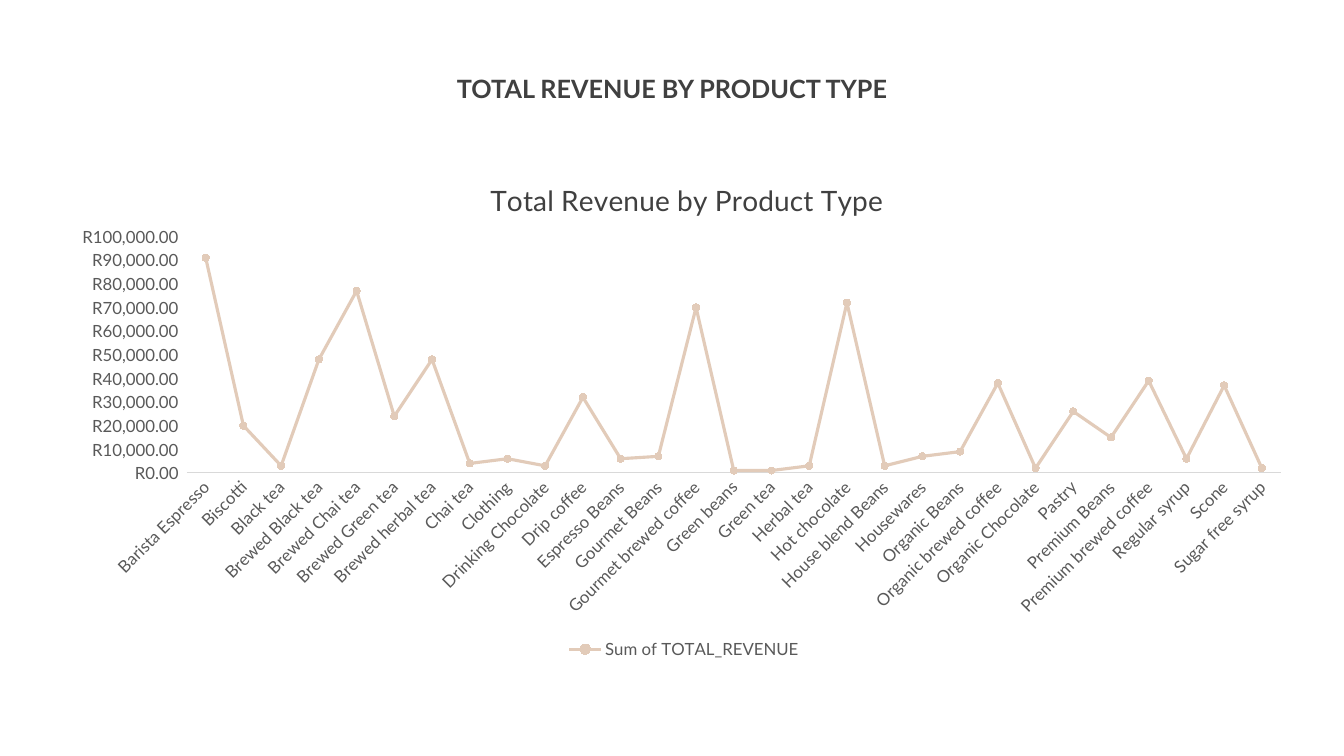
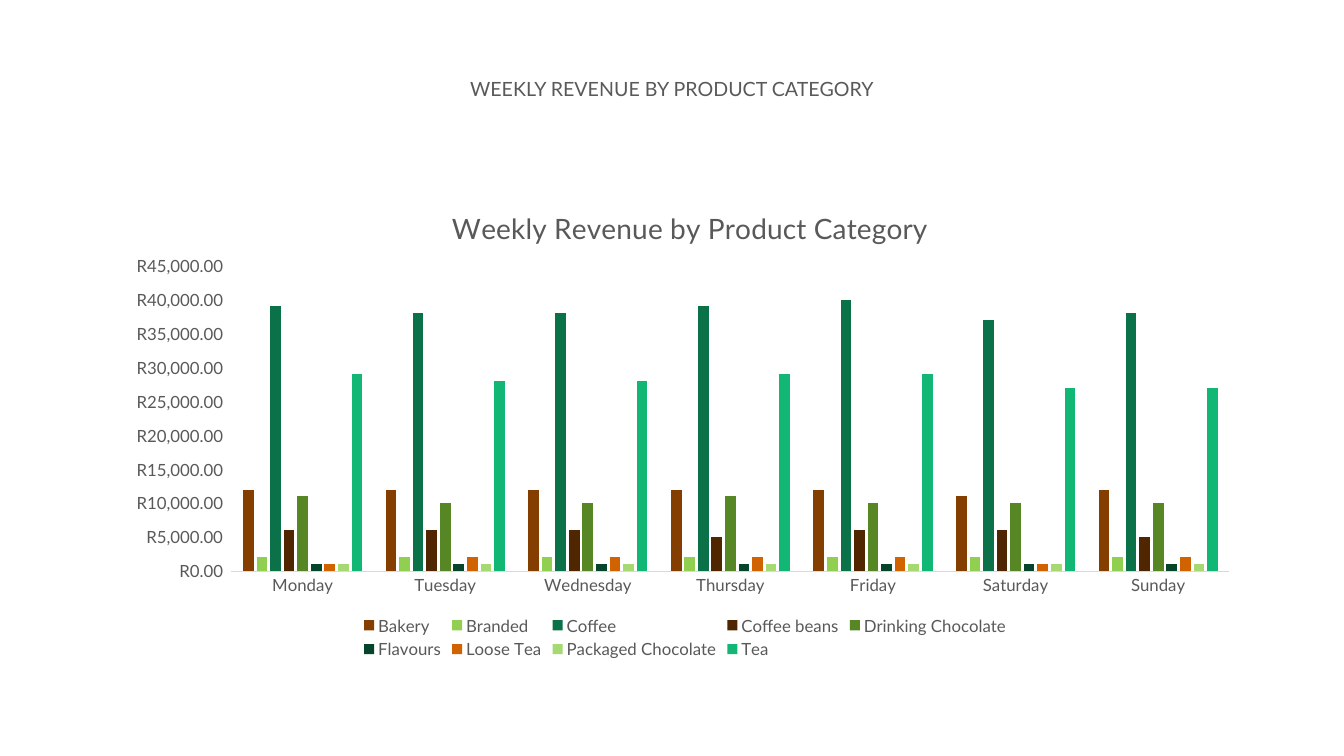
from lxml import etree
from pptx import Presentation
from pptx.chart.data import CategoryChartData
from pptx.dml.color import RGBColor
from pptx.enum.chart import XL_CHART_TYPE, XL_LEGEND_POSITION, XL_MARKER_STYLE, XL_TICK_MARK
from pptx.enum.text import MSO_ANCHOR, PP_ALIGN
from pptx.oxml.ns import qn
from pptx.util import Inches, Pt

LINE = XL_CHART_TYPE.LINE_MARKERS
COLUMN = XL_CHART_TYPE.COLUMN_CLUSTERED
BOTTOM = XL_LEGEND_POSITION.BOTTOM
CIRCLE = XL_MARKER_STYLE.CIRCLE
NO_TICK = XL_TICK_MARK.NONE
MIDDLE = MSO_ANCHOR.MIDDLE
CENTER = PP_ALIGN.CENTER

FONT = "Lato"
DARK, GREY, RULE, SAND = "404040", "595959", "D9D9D9", "E2CBB9"
RAND_FORMAT = '"R"#,##0.00_);[Red]\\("R"#,##0.00\\)'

PRODUCT_REVENUE = {
    "Barista Espresso": 91000, "Biscotti": 20000, "Black tea": 3000,
    "Brewed Black tea": 48000, "Brewed Chai tea": 77000, "Brewed Green tea": 24000,
    "Brewed herbal tea": 48000, "Chai tea": 4000, "Clothing": 6000,
    "Drinking Chocolate": 3000, "Drip coffee": 32000, "Espresso Beans": 6000,
    "Gourmet Beans": 7000, "Gourmet brewed coffee": 70000, "Green beans": 1000,
    "Green tea": 1000, "Herbal tea": 3000, "Hot chocolate": 72000,
    "House blend Beans": 3000, "Housewares": 7000, "Organic Beans": 9000,
    "Organic brewed coffee": 38000, "Organic Chocolate": 2000, "Pastry": 26000,
    "Premium Beans": 15000, "Premium brewed coffee": 39000, "Regular syrup": 6000,
    "Scone": 37000, "Sugar free syrup": 2000,
}
DAYS = ["Monday", "Tuesday", "Wednesday", "Thursday", "Friday", "Saturday", "Sunday"]
CATEGORY_REVENUE = {
    "Bakery": ("843F00", [12000, 12000, 12000, 12000, 12000, 11000, 12000]),
    "Branded": ("91CF50", [2000] * 7),
    "Coffee": ("0B7149", [39000, 38000, 38000, 39000, 40000, 37000, 38000]),
    "Coffee beans": ("4F2600", [6000, 6000, 6000, 5000, 6000, 6000, 5000]),
    "Drinking Chocolate": ("578725", [11000, 10000, 10000, 11000, 10000, 10000, 10000]),
    "Flavours": ("07442C", [1000] * 7),
    "Loose Tea": ("D06300", [1000, 2000, 2000, 2000, 2000, 1000, 2000]),
    "Packaged Chocolate": ("A7D973", [1000] * 7),
    "Tea": ("12B776", [29000, 28000, 28000, 29000, 29000, 27000, 27000]),
}


def rgb(value):
    """Turn a hex string into a colour."""
    return RGBColor.from_string(value)


def set_font(font, size, color, bold=False):
    """Apply the deck font with a size, colour and weight."""
    font.name, font.size, font.bold = FONT, Pt(size), bold
    font.color.rgb = rgb(color)


def write(frame, text, size=14, color=GREY, bold=False):
    """Write one centred paragraph into a text frame."""
    paragraph = frame.paragraphs[0]
    paragraph.alignment = CENTER
    run = paragraph.add_run()
    run.text = text
    set_font(run.font, size, color, bold)


def add_title(slide, text, **style):
    """Add the slide heading."""
    box = slide.shapes.add_textbox(Inches(1.04), Inches(0.53), Inches(11.25), Inches(0.7))
    frame = box.text_frame
    frame.word_wrap = True
    frame.vertical_anchor = MIDDLE
    frame.margin_top = frame.margin_bottom = 0
    write(frame, text, **style)


def place(parent, index, **fractions):
    """Give a chart part a manual layout in fractions of the chart."""
    for old in parent.findall(qn("c:layout")):
        parent.remove(old)
    layout = etree.Element(qn("c:layout"))
    manual = etree.SubElement(layout, qn("c:manualLayout"))
    settings = {"xMode": "edge", "yMode": "edge", **fractions}
    if "w" in fractions:
        settings = {"layoutTarget": "inner", **settings}
    for name, value in settings.items():
        etree.SubElement(manual, qn(f"c:{name}")).set("val", str(value))
    parent.insert(index, layout)


def style_axes(chart, maximum, step):
    """Style both axes and set the value scale."""
    for axis in (chart.category_axis, chart.value_axis):
        axis.major_tick_mark = axis.minor_tick_mark = NO_TICK
        axis.has_major_gridlines = False
        set_font(axis.tick_labels.font, 12, GREY)
    line = chart.category_axis.format.line
    line.color.rgb, line.width = rgb(RULE), Pt(0.75)
    values = chart.value_axis
    values.format.line.fill.background()
    values.minimum_scale, values.maximum_scale, values.major_unit = 0, maximum, step
    values.tick_labels.number_format = RAND_FORMAT
    values.tick_labels.number_format_is_linked = False


def add_chart(slide, kind, box, categories, series, title, title_color, title_x, plot, scale):
    """Add a titled chart with a bottom legend and return it."""
    data = CategoryChartData(number_format=RAND_FORMAT)
    data.categories = categories
    for name, values in series.items():
        data.add_series(name, values)
    chart = slide.shapes.add_chart(kind, *map(Inches, box), data).chart
    set_font(chart.font, 10, "000000")
    chart.has_title = True
    write(chart.chart_title.text_frame, title, size=20, color=title_color)
    chart.chart_title.include_in_layout = False
    place(chart.chart_title.element, 1, x=title_x, y=0.05)
    place(chart.element.xpath("c:chart/c:plotArea")[0], 0, **plot)
    chart.has_legend = True
    chart.legend.position = BOTTOM
    chart.legend.include_in_layout = False
    set_font(chart.legend.font, 12, GREY)
    chart.plots[0].vary_by_categories = False
    style_axes(chart, *scale)
    return chart


def add_product_chart(slide):
    """Add the line chart of revenue by product type."""
    chart = add_chart(
        slide, LINE, (0.62, 1.48, 12.33, 5.1), list(PRODUCT_REVENUE),
        {"Sum of TOTAL_REVENUE": list(PRODUCT_REVENUE.values())},
        "Total Revenue by Product Type", DARK, 0.34,
        {"x": 0.1, "y": 0.17, "w": 0.88, "h": 0.46}, (100000, 10000))
    chart.element.xpath(".//c:catAx/c:txPr/a:bodyPr")[0].set("rot", "-2700000")
    series = chart.plots[0].series[0]
    series.smooth = False
    series.format.line.color.rgb, series.format.line.width = rgb(SAND), Pt(2.25)
    marker = series.marker
    marker.style, marker.size = CIRCLE, 5
    marker.format.fill.solid()
    marker.format.fill.fore_color.rgb = rgb(SAND)
    marker.format.line.color.rgb = rgb(SAND)


def add_category_chart(slide):
    """Add the column chart of weekly revenue by category."""
    chart = add_chart(
        slide, COLUMN, (1.17, 1.77, 11.25, 4.81), DAYS,
        {name: values for name, (_, values) in CATEGORY_REVENUE.items()},
        "Weekly Revenue by Product Category", GREY, 0.29,
        {"x": 0.1, "y": 0.18, "w": 0.88, "h": 0.63}, (45000, 5000))
    plot = chart.plots[0]
    plot.gap_width, plot.overlap = 219, -27
    for series, (color, _) in zip(plot.series, CATEGORY_REVENUE.values()):
        series.format.fill.solid()
        series.format.fill.fore_color.rgb = rgb(color)


def main():
    """Build and save the presentation."""
    presentation = Presentation()
    presentation.slide_width, presentation.slide_height = Inches(13.33), Inches(7.5)
    blank = presentation.slide_layouts[6]

    slide = presentation.slides.add_slide(blank)
    add_title(slide, "TOTAL REVENUE BY PRODUCT TYPE", size=18, color=DARK, bold=True)
    add_product_chart(slide)

    slide = presentation.slides.add_slide(blank)
    add_title(slide, "WEEKLY REVENUE BY PRODUCT CATEGORY")
    add_category_chart(slide)

    presentation.save("out.pptx")


if __name__ == "__main__":
    main()
